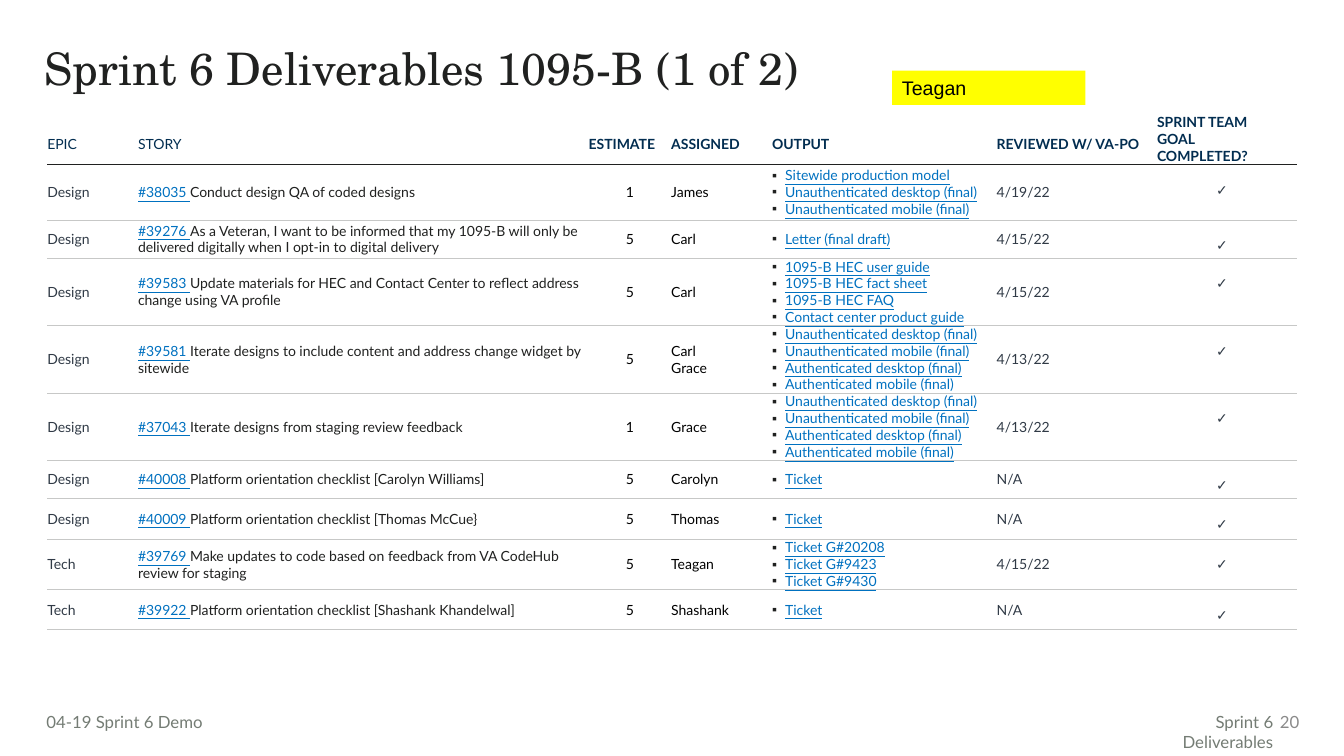
from lxml.etree import SubElement
from pptx import Presentation
from pptx.dml.color import RGBColor
from pptx.enum.shapes import MSO_SHAPE
from pptx.enum.text import MSO_ANCHOR, PP_ALIGN
from pptx.oxml.ns import qn
from pptx.util import Pt

INK = RGBColor(0x20, 0x21, 0x20)
NAVY = RGBColor(0x02, 0x2D, 0x50)
SLATE = RGBColor(0x30, 0x3A, 0x46)
BLACK = RGBColor(0x00, 0x00, 0x00)
LINK = RGBColor(0x00, 0x71, 0xC0)
RULE = RGBColor(0xC7, 0xC8, 0xC7)
FOOTER = RGBColor(0x74, 0x7C, 0x74)
PAGE = RGBColor(0x8A, 0x8A, 0x8A)
YELLOW = RGBColor(0xFF, 0xFF, 0x00)

COLUMNS = [64.8, 321.9, 59, 72, 160.5, 107.3, 107.3]
ROWS = [28.8, 39.6, 27.4, 27.4, 26.6, 27.4, 27.4, 28.8, 28.8, 28.8]
HEADERS = ["EPIC", "STORY", "ESTIMATE", "ASSIGNED", "OUTPUT",
           "REVIEWED W/ VA-PO", "SPRINT TEAM GOAL COMPLETED?"]
UNAUTHENTICATED = ["Unauthenticated desktop (final)", "Unauthenticated mobile (final)"]
SCREENS = UNAUTHENTICATED + ["Authenticated desktop (final)", "Authenticated mobile (final)"]
STORIES = [
    ("Design", "#38035 ", "Conduct design QA of coded designs", "1", ["James"],
     ["Sitewide production model"] + UNAUTHENTICATED, "4/19/22"),
    ("Design", "#39276 ", "As a Veteran, I want to be informed that my 1095-B will only be "
     "delivered digitally when I opt-in to digital delivery", "5", ["Carl"],
     ["Letter (final draft)"], "4/15/22"),
    ("Design", "#39583 ", "Update materials for HEC and Contact Center to reflect address "
     "change using VA profile", "5", ["Carl"],
     ["1095-B HEC user guide", "1095-B HEC fact sheet", "1095-B HEC FAQ",
      "Contact center product guide"], "4/15/22"),
    ("Design", "#39581 ", "Iterate designs to include content and address change widget by "
     "sitewide", "5", ["Carl", "Grace"], SCREENS, "4/13/22"),
    ("Design", "#37043 ", "Iterate designs from staging review feedback", "1", ["Grace"],
     SCREENS, "4/13/22"),
    ("Design", "#40008 ", "Platform orientation checklist [Carolyn Williams]", "5",
     ["Carolyn"], ["Ticket"], "N/A"),
    ("Design", "#40009 ", "Platform orientation checklist [Thomas McCue}", "5",
     ["Thomas"], ["Ticket"], "N/A"),
    ("Tech", "#39769 ", "Make updates to code based on feedback from VA CodeHub review for "
     "staging", "5", ["Teagan"],
     ["Ticket G#20208", "Ticket G#9423", "Ticket G#9430"], "4/15/22"),
    ("Tech", "#39922 ", "Platform orientation checklist [Shashank Khandelwal]", "5",
     ["Shashank"], ["Ticket"], "N/A"),
]


class Deck:
    font = "Lato"
    table_size = 10
    footer_size = 12

    def __init__(self):
        self.prs = Presentation()
        self.prs.slide_width, self.prs.slide_height = Pt(960), Pt(540)
        self.s = self.prs.slides.add_slide(self.prs.slide_layouts[6])

    def run(self, p, text, color, size, font=None, bold=False, underline=False):
        r = p.add_run()
        r.text = text
        r.font.name = font or self.font
        r.font.size = Pt(size)
        r.font.bold = bold
        r.font.underline = underline
        r.font.color.rgb = color

    def frame(self, sp, inset_left=7.2, anchor=MSO_ANCHOR.TOP):
        tf = sp.text_frame
        tf.word_wrap = True
        tf.vertical_anchor = anchor
        tf.margin_left, tf.margin_right = Pt(inset_left), Pt(7.2)
        tf.margin_top = tf.margin_bottom = Pt(3.6)
        return tf.paragraphs[0]

    def text(self, x, y, w, h, text, color, size=footer_size, font=None,
             align=PP_ALIGN.LEFT, spacing=1.0, **frame):
        sp = self.s.shapes.add_textbox(Pt(x), Pt(y), Pt(w), Pt(h))
        p = self.frame(sp, **frame)
        p.alignment = align
        p.line_spacing = spacing
        self.run(p, text, color, size, font)

    def label(self, x, y, w, h, text, fill):
        sp = self.s.shapes.add_shape(MSO_SHAPE.RECTANGLE, Pt(x), Pt(y), Pt(w), Pt(h))
        sp.shadow.inherit = False
        sp.fill.solid()
        sp.fill.fore_color.rgb = fill
        sp.line.fill.background()
        p = self.frame(sp)
        p.alignment = PP_ALIGN.LEFT
        self.run(p, text, BLACK, 14, "Arial")

    def table(self, x, y, widths, heights):
        tb = self.s.shapes.add_table(len(heights), len(widths), Pt(x), Pt(y),
                                     Pt(sum(widths)), Pt(sum(heights))).table
        tb.first_row = tb.horz_banding = False
        for col, w in zip(tb.columns, widths):
            col.width = Pt(w)
        for row, h in zip(tb.rows, heights):
            row.height = Pt(h)
        return tb

    def border(self, cell, side, color=None, width=0):
        ln = SubElement(cell._tc.get_or_add_tcPr(), qn(f"a:{side}"), w=str(Pt(width)))
        if color is None:
            SubElement(ln, qn("a:noFill"))
        else:
            SubElement(SubElement(ln, qn("a:solidFill")), qn("a:srgbClr"), val=str(color))

    def cell(self, cell, lines, margins=(0, 0, 0, 0), top=None, bottom=(RULE, 0.5),
             anchor=MSO_ANCHOR.MIDDLE, align=PP_ALIGN.LEFT, bullets=False):
        self.border(cell, "lnL")
        self.border(cell, "lnR")
        self.border(cell, "lnT", *(top or ()))
        self.border(cell, "lnB", *bottom)
        cell.fill.background()
        cell.vertical_anchor = anchor
        (cell.margin_left, cell.margin_top,
         cell.margin_right, cell.margin_bottom) = map(Pt, margins)
        tf = cell.text_frame
        for i, runs in enumerate(lines):
            p = tf.add_paragraph() if i else tf.paragraphs[0]
            p.alignment = align
            if bullets:
                self.bullet(p)
            for text, color, *style in runs:
                self.run(p, text, color, self.table_size,
                         bold="bold" in style, underline="underline" in style)

    def bullet(self, p):
        pPr = p._p.get_or_add_pPr()
        pPr.set("marL", str(Pt(9.4)))
        pPr.set("indent", str(Pt(-9.4)))
        SubElement(SubElement(pPr, qn("a:buClr")), qn("a:srgbClr"), val=str(INK))
        SubElement(pPr, qn("a:buFont"), typeface="Arial")
        SubElement(pPr, qn("a:buChar"), char="▪")


def fill_headers(deck, tb):
    for c, name in enumerate(HEADERS):
        style = ["bold"] if c > 1 else []
        last = c == len(HEADERS) - 1
        margins = (7.2, 0, 7.2, 0) if last else (0, 7.2, 0 if c > 3 else 7.2, 0)
        deck.cell(tb.cell(0, c), [[(name, NAVY, *style)]], margins, bottom=(INK, 1),
                  anchor=MSO_ANCHOR.TOP if last else MSO_ANCHOR.MIDDLE)


def fill_stories(deck, tb):
    narrow = {"margins": (0, 0, 28.8, 0)}
    centred = {"align": PP_ALIGN.CENTER}
    done = {"margins": (0, 12, 0, 0), "anchor": MSO_ANCHOR.TOP, **centred}
    for row, (epic, ticket, story, estimate, people, outputs, reviewed) in enumerate(STORIES, 1):
        cells = [
            ([[(epic, SLATE)]], narrow),
            ([[(ticket, LINK, "underline"), (story, INK)]], {}),
            ([[(estimate, BLACK)]], centred),
            ([[(name, BLACK)] for name in people], narrow),
            ([[(name, LINK, "underline")] for name in outputs], {"bullets": True}),
            ([[(reviewed, SLATE)]], {}),
            ([[("✓", SLATE)]], done),
        ]
        top = (INK, 1) if row == 1 else (RULE, 0.5)
        for c, (lines, style) in enumerate(cells):
            deck.cell(tb.cell(row, c), lines, top=top, **style)


def main():
    deck = Deck()
    deck.text(24.5, 29.5, 894.2, 59, "Sprint 6 Deliverables 1095-B (1 of 2)", INK, 32,
              "TeX Gyre Schola", spacing=0.9)
    deck.text(903.6, 501.1, 31.7, 28.8, "20", PAGE, align=PP_ALIGN.RIGHT,
              anchor=MSO_ANCHOR.MIDDLE)
    tb = deck.table(33.8, 81.4, COLUMNS, ROWS)
    fill_headers(deck, tb)
    fill_stories(deck, tb)
    deck.text(798.5, 504.7, 118.1, 21.6, "Sprint 6 Deliverables", FOOTER, align=PP_ALIGN.RIGHT)
    deck.text(33.1, 504.7, 214.6, 21.6, "04-19 Sprint 6 Demo", FOOTER, inset_left=0)
    deck.label(637.2, 50.4, 138.2, 24.5, "Teagan", YELLOW)
    deck.prs.save("out.pptx")


if __name__ == "__main__":
    main()
